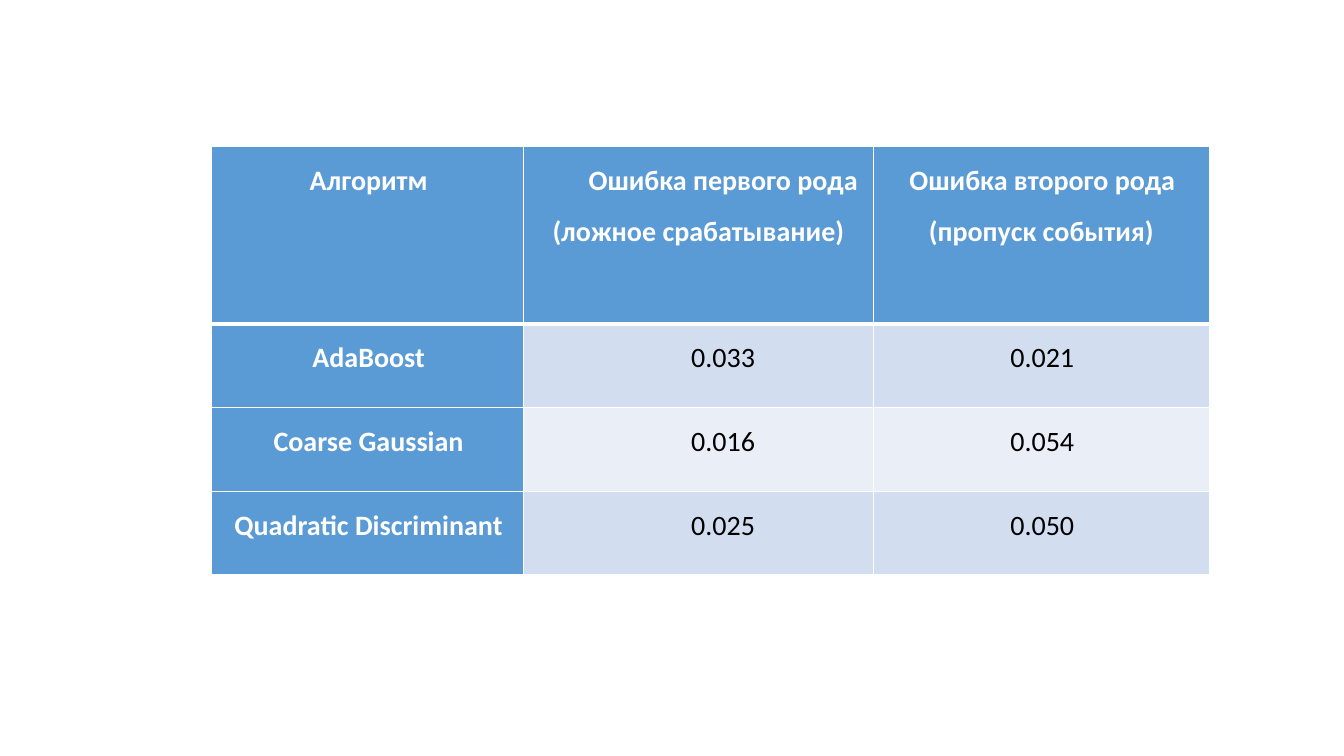
import pptx
import pptx.dml.color
import pptx.enum.text
import pptx.oxml
import pptx.oxml.ns
import pptx.util

HEADER = ["Алгоритм", "Ошибка первого рода (ложное срабатывание)",
          "Ошибка второго рода (пропуск события)"]
ERRORS = [["AdaBoost", "0.033", "0.021"],
          ["Coarse Gaussian", "0.016", "0.054"],
          ["Quadratic Discriminant", "0.025", "0.050"]]
FIRST_LINE_INDENTS = [0.02, 0.49, 0.02]  # inches, by column


def rgb(value):
    return pptx.dml.color.RGBColor.from_string(value)


class SlideBuilder:
    """Style and current slide; lengths are percentages of the slide's size."""

    font, size = "Calibri", 20
    accent, bands = "5B9BD5", ["D2DEEF", "EAEFF7"]
    light, dark = "FFFFFF", "000000"

    def __init__(self, prs):
        self.prs = prs
        self.slide = prs.slides.add_slide(prs.slide_layouts[6])

    def x(self, percent):
        return round(self.prs.slide_width * percent / 100)

    def y(self, percent):
        return round(self.prs.slide_height * percent / 100)

    def table(self, left, top, widths, heights, rows):
        table = self.slide.shapes.add_table(
            len(rows), len(widths), self.x(left), self.y(top),
            self.x(sum(widths)), self.y(sum(heights))).table
        for column, width in zip(table.columns, widths):
            column.width = self.x(width)
        for row, height in zip(table.rows, heights):
            row.height = self.y(height)
        for i, texts in enumerate(rows):
            for j, text in enumerate(texts):
                cell = table.cell(i, j)
                heading = i == 0 or j == 0
                self.borders(cell, top=3 if i == 1 else 1,
                             bottom=3 if i == 0 else 1)
                cell.fill.solid()
                cell.fill.fore_color.rgb = rgb(
                    self.accent if heading else self.bands[(i - 1) % 2])
                self.cell_text(cell, text, heading, FIRST_LINE_INDENTS[j])

    def borders(self, cell, top, bottom):
        tc_pr = cell._tc.get_or_add_tcPr()
        for side, points in zip("LRTB", (1, 1, top, bottom)):
            tc_pr.append(pptx.oxml.parse_xml(
                f'<a:ln{side} {pptx.oxml.ns.nsdecls("a")} w="{pptx.util.Pt(points)}">'
                f'<a:solidFill><a:srgbClr val="{self.light}"/></a:solidFill>'
                f'</a:ln{side}>'))

    def cell_text(self, cell, text, heading, indent):
        cell.margin_left = cell.margin_right = pptx.util.Inches(0.07)
        cell.margin_top = cell.margin_bottom = 0
        cell.text_frame.text = text
        p = cell.text_frame.paragraphs[0]
        p.alignment = pptx.enum.text.PP_ALIGN.CENTER
        p.line_spacing = 1.5
        p.space_after = pptx.util.Pt(6)
        p_pr = p._p.get_or_add_pPr()
        p_pr.set("marL", "0")
        p_pr.set("indent", str(pptx.util.Inches(indent)))
        r = p.runs[0]
        r.font.name = self.font
        r.font.size = pptx.util.Pt(self.size)
        r.font.bold = heading
        r.font.color.rgb = rgb(self.light if heading else self.dark)


def main():
    prs = pptx.Presentation()
    prs.slide_width = pptx.util.Inches(13.33)
    prs.slide_height = pptx.util.Inches(7.5)
    s = SlideBuilder(prs)
    s.table(15.75, 19.4, widths=[23.2, 26.04, 24.98],
            heights=[23.47] + [11.07] * len(ERRORS), rows=[HEADER] + ERRORS)
    prs.save("out.pptx")


if __name__ == "__main__":
    main()
